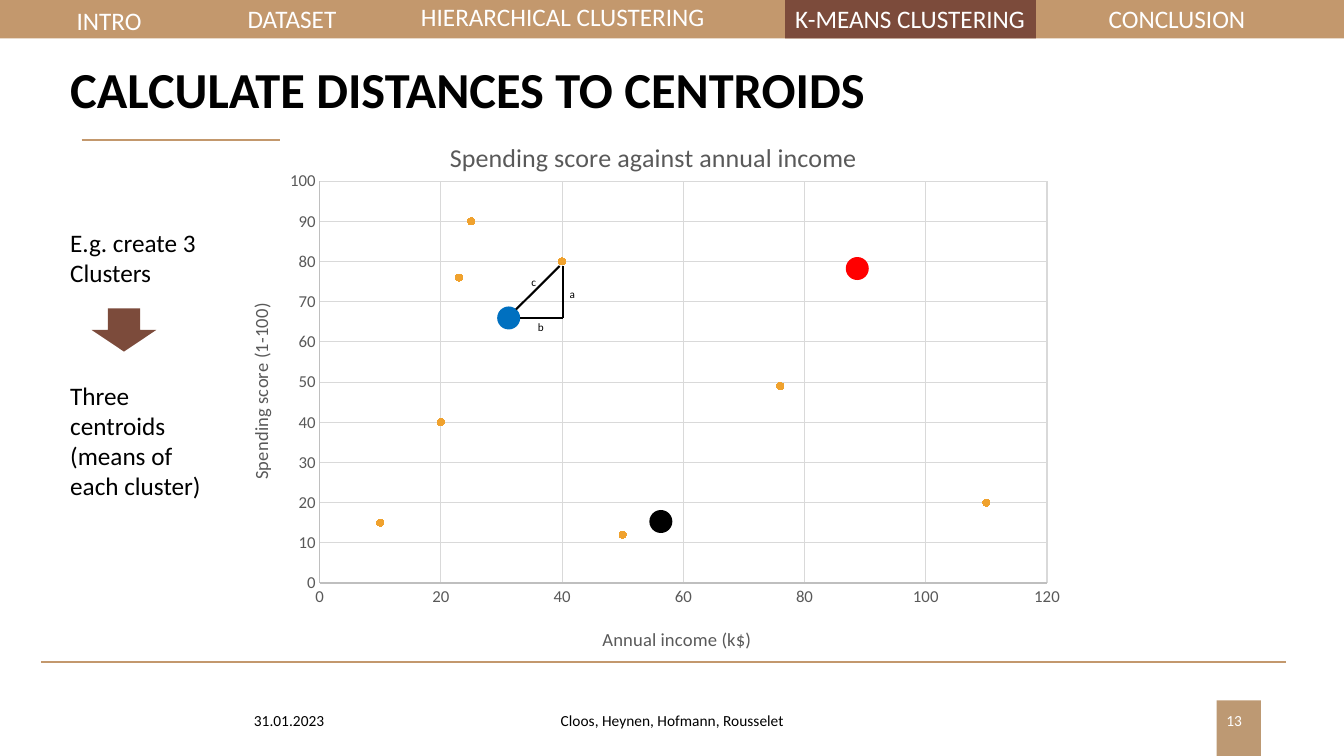
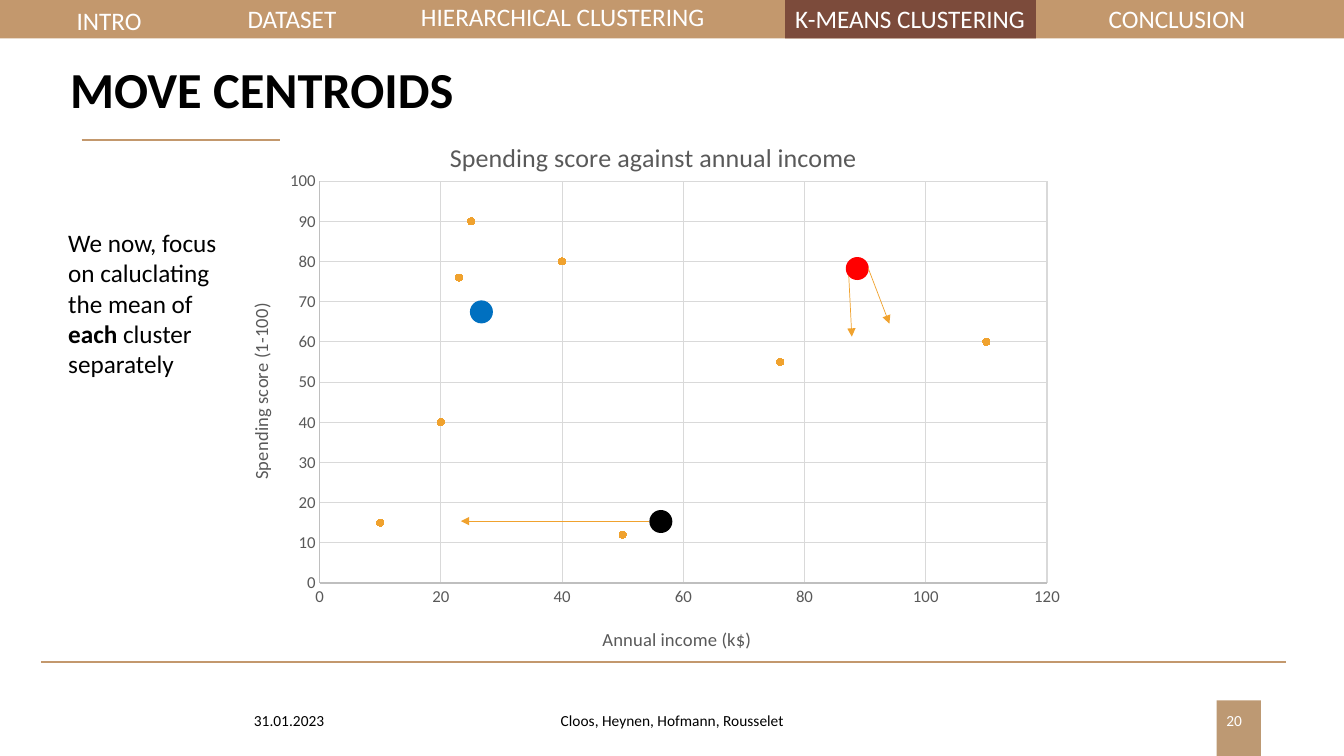
import pptx
import pptx.chart.data
import pptx.dml.color
import pptx.enum.chart
import pptx.enum.shapes
import pptx.enum.text
import pptx.oxml.ns
import pptx.util
from lxml import etree
from pptx.util import Cm

FONT = "Calibri"
TAN, BADGE, BROWN, AMBER = "C3986D", "BD9973", "7C4B3B", "F0A22E"
BLACK, WHITE, GREY = "000000", "FFFFFF", "595959"
AXIS_GREY, GRID_GREY = "BFBFBF", "D9D9D9"
BLUE, RED = "0070C0", "FF0000"

SLIDE_W, SLIDE_H = 33.87, 19.05
CHART_BOX = (5.54, 2.79, 21.67, 13.77)
PLOT = (0.116, 0.13, 0.846, 0.742)  # plot area as shares of the chart box
INCOME_MAX, SCORE_MAX = 120, 100
INCOMES = [20, 40, 110, 50, 25, 76, 23, 10]
CENTROID_SIZE = 0.58

# Navigation entries: left, top, width, label
NAV = [
    (1.68, 0, 2.4, "INTRO"),
    (5.99, -0.03, 3, "DATASET"),
    (10.36, -0.08, 8.3, "HIERARCHICAL CLUSTERING"),
    (19.79, -0.03, 6.5, "K-MEANS CLUSTERING"),
    (27.69, -0.05, 4.3, "CONCLUSION"),
]

SHAPE = pptx.enum.shapes.MSO_SHAPE
ALIGN = pptx.enum.text.PP_ALIGN
MIDDLE = pptx.enum.text.MSO_ANCHOR.MIDDLE


def rgb(value):
    return pptx.dml.color.RGBColor.from_string(value)


def style_font(font, size, color, bold=False):
    font.name = FONT
    font.size = pptx.util.Pt(size)
    font.bold = bold
    font.color.rgb = rgb(color)


def style_line(line, color, width):
    line.color.rgb = rgb(color)
    line.width = pptx.util.Pt(width)


def add_filled(slide, preset, box, color):
    shape = slide.shapes.add_shape(preset, *map(Cm, box))
    shape.shadow.inherit = False
    shape.fill.solid()
    shape.fill.fore_color.rgb = rgb(color)
    shape.line.fill.background()


def add_text(slide, box, runs, size, color=BLACK, align=ALIGN.LEFT,
             anchor=None, wrap=True, spacing=None):
    """Place one paragraph; runs are (text, bold) pairs."""
    frame = slide.shapes.add_textbox(*map(Cm, box)).text_frame
    frame.word_wrap = wrap
    if anchor is not None:
        frame.vertical_anchor = anchor
    paragraph = frame.paragraphs[0]
    paragraph.alignment = align
    if spacing:
        paragraph.line_spacing = spacing
    for text, bold in runs:
        run = paragraph.add_run()
        run.text = text
        style_font(run.font, size, color, bold)


def add_line(slide, start, end, color, width, arrow=False):
    line = slide.shapes.add_connector(
        pptx.enum.shapes.MSO_CONNECTOR.STRAIGHT, *map(Cm, start + end))
    style_line(line.line, color, width)
    properties = line._element.spPr
    if arrow:
        etree.SubElement(properties.find(pptx.oxml.ns.qn("a:ln")),
                         pptx.oxml.ns.qn("a:tailEnd"), type="triangle")
    etree.SubElement(properties, pptx.oxml.ns.qn("a:effectLst"))


# Navigation band
def add_navigation(slide, current):
    height = 0.97
    add_filled(slide, SHAPE.RECTANGLE, (0, 0, SLIDE_W, height), TAN)
    for left, top, width, label in NAV:
        if label == current:
            add_filled(slide, SHAPE.RECTANGLE, (left, 0, 6.32, height), BROWN)
        add_text(slide, (left, top, width, 1.02), [(label, False)], 18, WHITE)


# Footer
def add_footer(slide, number):
    top, height = 17.65, 1.02
    add_line(slide, (1.04, 16.69), (32.41, 16.69), TAN, 1.5)
    add_filled(slide, SHAPE.RECTANGLE,
               (30.66, top, 1.12, SLIDE_H - top), BADGE)
    for left, width, text, color, align in [
        (6.15, 7.62, "31.01.2023", BLACK, ALIGN.LEFT),
        (11.23, 11.43, "Cloos, Heynen, Hofmann, Rousselet", BLACK, ALIGN.CENTER),
        (23.93, 7.62, str(number), WHITE, ALIGN.RIGHT),
    ]:
        add_text(slide, (left, top, width, height), [(text, False)], 11,
                 color, align, MIDDLE)


def add_base_slide(deck, title, number):
    slide = deck.slides.add_slide(deck.slide_layouts[6])
    add_navigation(slide, "K-MEANS CLUSTERING")
    add_text(slide, (1.52, 1.57, 30.8, 1.5), [(title, True)], 36,
             anchor=MIDDLE, spacing=0.9)
    add_line(slide, (2.06, 3.53), (7.06, 3.53), TAN, 1.5)
    add_footer(slide, number)
    return slide


def set_layout(parent, index, **settings):
    """Give a chart part a fixed place inside the chart box."""
    tag = pptx.oxml.ns.qn
    for old in parent.findall(tag("c:layout")):
        parent.remove(old)
    layout = etree.Element(tag("c:layout"))
    manual = etree.SubElement(layout, tag("c:manualLayout"))
    for key, value in settings.items():
        etree.SubElement(manual, tag("c:" + key), val=str(value))
    parent.insert(index, layout)


def set_chart_title(title, text, size, x, y):
    run = title.text_frame.paragraphs[0].add_run()
    run.text = text
    style_font(run.font, size, GREY)
    set_layout(title._element, 1, xMode="edge", yMode="edge", x=x, y=y)


def style_axis(axis, maximum, step, text, x, y):
    axis.minimum_scale, axis.maximum_scale = 0, maximum
    axis.major_unit = step
    axis.major_tick_mark = axis.minor_tick_mark = pptx.enum.chart.XL_TICK_MARK.NONE
    axis.has_major_gridlines = True
    style_line(axis.major_gridlines.format.line, GRID_GREY, 0.75)
    style_line(axis.format.line, AXIS_GREY, 0.75)
    style_font(axis.tick_labels.font, 12, GREY)
    set_chart_title(axis.axis_title, text, 13.3, x, y)


# Scatter chart
def add_scatter(slide, box, scores):
    data = pptx.chart.data.XyChartData()
    customers = data.add_series("Series 1")
    for income, score in zip(INCOMES, scores):
        customers.add_data_point(income, score)
    chart = slide.shapes.add_chart(
        pptx.enum.chart.XL_CHART_TYPE.XY_SCATTER, *map(Cm, box), data).chart
    style_font(chart.font, 10, BLACK)
    chart.has_legend = False
    chart.has_title = True
    set_chart_title(chart.chart_title, "Spending score against annual income",
                    18.6, 0.262, 0.045)
    style_axis(chart.category_axis, INCOME_MAX, 20, "Annual income (k$)",
               0.441, 0.946)
    style_axis(chart.value_axis, SCORE_MAX, 10, "Spending score (1-100)",
               0.029, 0.352)
    x, y, w, h = PLOT
    set_layout(chart._chartSpace.chart.plotArea, 0, layoutTarget="inner",
               xMode="edge", yMode="edge", x=x, y=y, w=w, h=h)
    plot = chart.plots[0]
    plot.vary_by_categories = False
    points = plot.series[0]
    points.smooth = False
    points.format.line.fill.background()
    points.marker.style = pptx.enum.chart.XL_MARKER_STYLE.CIRCLE
    points.marker.size = 5
    points.marker.format.fill.solid()
    points.marker.format.fill.fore_color.rgb = rgb(AMBER)
    points.marker.format.line.color.rgb = rgb(AMBER)


def locate(box, income, score):
    """Turn a data point into a place on the slide, in centimetres."""
    left, top, width, height = box
    x, y, w, h = PLOT
    return (left + width * (x + w * income / INCOME_MAX),
            top + height * (y + h * (1 - score / SCORE_MAX)))


def add_centroids(slide, box, blue):
    for point, color in [(blue, BLUE), ((88.7, 78.6), RED),
                         ((56.3, 16.2), BLACK)]:
        x, y = locate(box, *point)
        add_filled(slide, SHAPE.OVAL,
                   (x - CENTROID_SIZE / 2, y - CENTROID_SIZE / 2,
                    CENTROID_SIZE, CENTROID_SIZE), color)


# Right triangle between a centroid and a customer
def add_distance_triangle(slide, box):
    for start, end in [((32.4, 68.5), (39.6, 79.2)),
                       ((40.2, 66.5), (40.2, 79.2)),
                       ((33.1, 66.5), (40.2, 66.5))]:
        add_line(slide, locate(box, *start), locate(box, *end), BLACK, 1.5)
    for side, corner in [("a", (39.6, 75.2)), ("b", (34.4, 67)),
                         ("c", (33.3, 78.2))]:
        add_text(slide, locate(box, *corner) + (0.66, 0.6), [(side, False)],
                 8, wrap=False)


# Directions in which the centroids move
def add_moves(slide, box):
    for start, end in [((54.4, 16.3), (23.3, 16.3)),
                       ((90.5, 78.7), (94, 65)),
                       ((87.3, 76.7), (87.8, 61.8))]:
        add_line(slide, locate(box, *start), locate(box, *end), AMBER, 0.5, True)


def build_distances(deck):
    slide = add_base_slide(deck, "CALCULATE DISTANCES TO CENTROIDS", 13)
    add_scatter(slide, CHART_BOX, [40, 80, 20, 12, 90, 49, 76, 15])
    add_centroids(slide, CHART_BOX, (31.2, 66.4))
    add_distance_triangle(slide, CHART_BOX)
    add_text(slide, (1.52, 5.61, 3.8, 1.8),
             [("E.g. create 3 Clusters", False)], 18)
    add_filled(slide, SHAPE.DOWN_ARROW, (2.31, 7.77, 1.63, 1.09), BROWN)
    add_text(slide, (1.52, 9.45, 4, 3.33),
             [("Three centroids (means of each cluster)", False)], 18)


def build_moves(deck):
    slide = add_base_slide(deck, "MOVE CENTROIDS", 20)
    add_scatter(slide, CHART_BOX, [40, 80, 60, 12, 90, 55, 76, 15])
    add_centroids(slide, CHART_BOX, (26.7, 67.9))
    add_moves(slide, CHART_BOX)
    add_text(slide, (1.47, 5.61, 4.7, 4.11),
             [("We now, focus on caluclating the mean of ", False),
              ("each ", True), ("cluster separately", False)], 18)


def main():
    deck = pptx.Presentation()
    deck.slide_width, deck.slide_height = Cm(SLIDE_W), Cm(SLIDE_H)
    build_distances(deck)
    build_moves(deck)
    deck.save("out.pptx")


if __name__ == "__main__":
    main()
